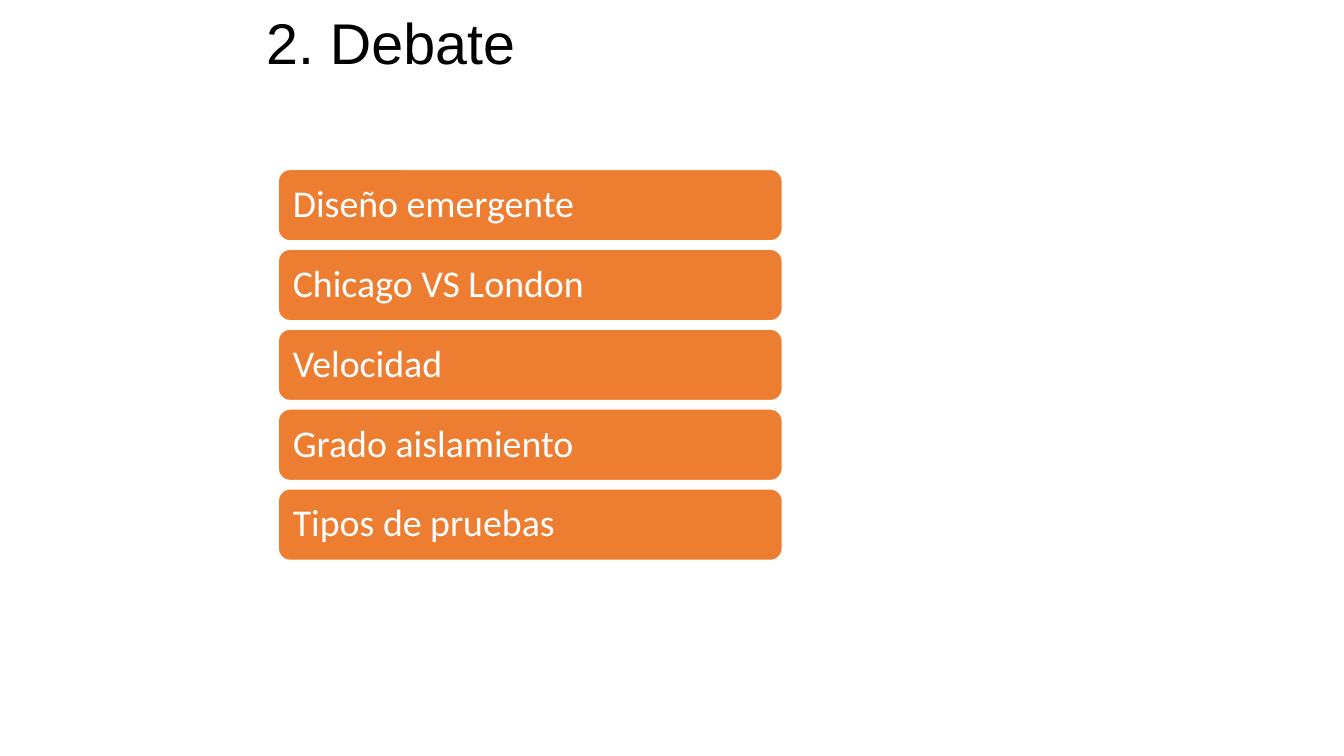
from pptx import Presentation
from pptx.dml.color import RGBColor
from pptx.enum.shapes import MSO_SHAPE
from pptx.enum.text import MSO_ANCHOR, PP_ALIGN
from pptx.util import Inches, Pt

ROUNDED = MSO_SHAPE.ROUNDED_RECTANGLE
MIDDLE = MSO_ANCHOR.MIDDLE
LEFT = PP_ALIGN.LEFT
TITLE_ONLY = 5

COLORS = {"title": "000000", "bar": "ED7D31", "bar_text": "FFFFFF", "bar_line": "FFFFFF"}
TOPICS = [
    "Diseño emergente",
    "Chicago VS London",
    "Velocidad",
    "Grado aislamiento",
    "Tipos de pruebas",
]
BAR_HEIGHT = 0.71
BAR_INSET = Inches(0.11)


def color(name):
    return RGBColor.from_string(COLORS[name])


def set_all(target, values):
    for attribute, value in values.items():
        setattr(target, attribute, value)


def write_line(frame, text, font_name, size, color_name):
    """Write one left-aligned, vertically centred line."""
    set_all(frame, {"word_wrap": True, "vertical_anchor": MIDDLE})
    line = frame.paragraphs[0]
    line.text = text
    set_all(line, {"alignment": LEFT, "line_spacing": 0.9})
    set_all(line.font, {"name": font_name, "size": Pt(size)})
    line.font.color.rgb = color(color_name)


def add_heading(slide, left, top, width, height):
    heading = slide.shapes.title
    set_all(heading, {"left": Inches(left), "top": Inches(top),
                      "width": Inches(width), "height": Inches(height)})
    write_line(heading.text_frame, "2. Debate", "Arial", 41, "title")


def add_topic_bars(slide, left, top, width, height):
    """Spread the topic bars evenly over the height of the box."""
    pitch = (height - BAR_HEIGHT) / (len(TOPICS) - 1)
    for row, topic in enumerate(TOPICS):
        bar = slide.shapes.add_shape(
            ROUNDED, Inches(left), Inches(top + row * pitch),
            Inches(width), Inches(BAR_HEIGHT))
        bar.shadow.inherit = False
        bar.fill.solid()
        bar.fill.fore_color.rgb = color("bar")
        bar.line.color.rgb = color("bar_line")
        bar.line.width = Pt(1)
        set_all(bar.text_frame, {"margin_left": BAR_INSET, "margin_right": BAR_INSET,
                                 "margin_top": BAR_INSET, "margin_bottom": BAR_INSET})
        write_line(bar.text_frame, topic, "Calibri", 27, "bar_text")


def main():
    deck = Presentation()
    set_all(deck, {"slide_width": Inches(13.33), "slide_height": Inches(7.5)})
    slide = deck.slides.add_slide(deck.slide_layouts[TITLE_ONLY])

    # Heading
    add_heading(slide, 2.54, 0.09, 7.6, 0.73)
    # Debate topics
    add_topic_bars(slide, 2.76, 1.68, 5, 3.88)

    deck.save("out.pptx")


if __name__ == "__main__":
    main()
